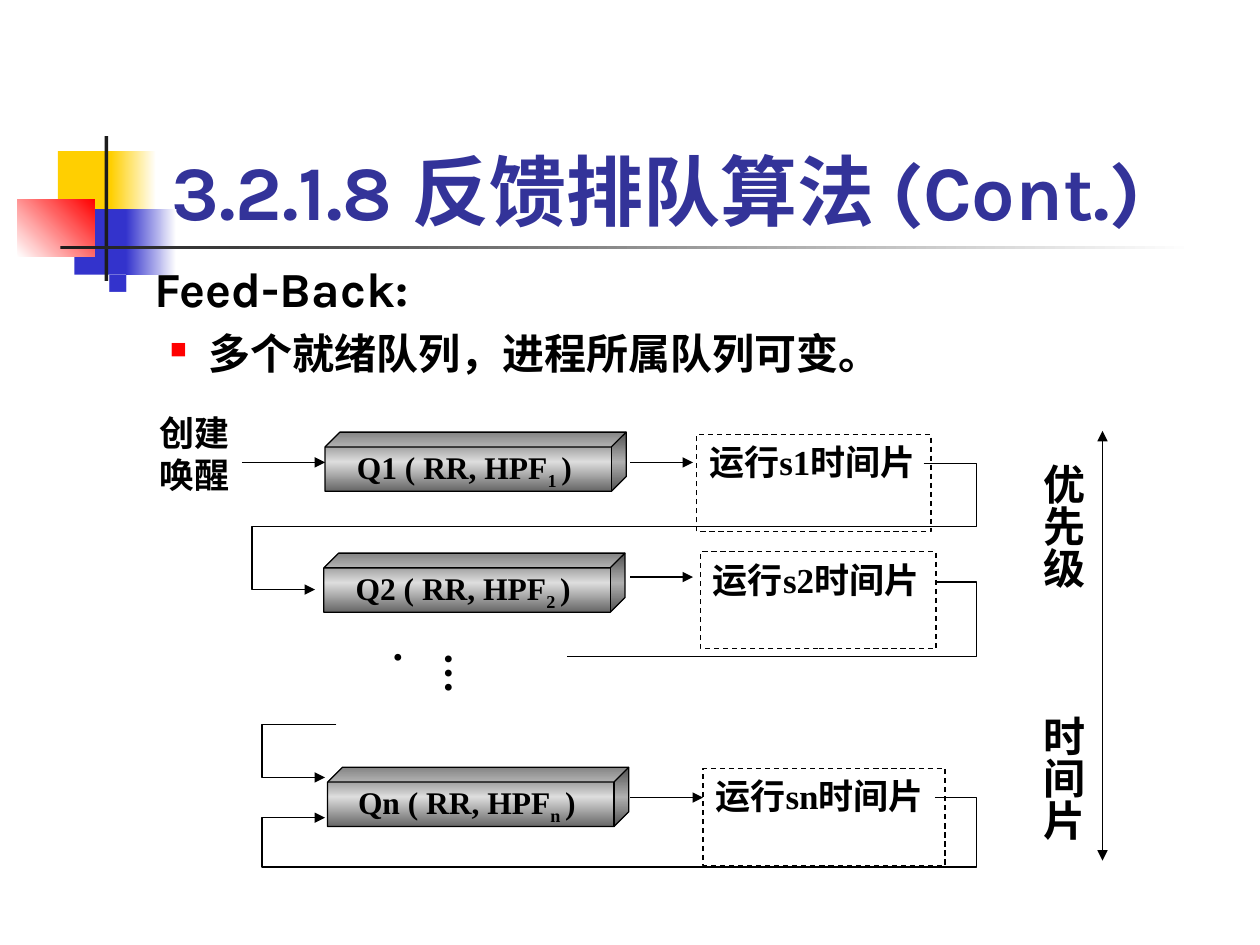
from copy import deepcopy

from lxml.etree import SubElement
from pptx import Presentation
from pptx.dml.color import RGBColor
from pptx.enum.dml import MSO_LINE
from pptx.enum.shapes import MSO_CONNECTOR, MSO_SHAPE
from pptx.enum.text import MSO_ANCHOR, MSO_AUTO_SIZE, PP_ALIGN
from pptx.oxml.ns import qn
from pptx.util import Inches, Pt

BLACK = RGBColor(0x00, 0x00, 0x00)
WHITE = RGBColor(0xFF, 0xFF, 0xFF)
YELLOW = RGBColor(0xFF, 0xCF, 0x01)
BLUE = RGBColor(0x33, 0x33, 0xCC)
RED = RGBColor(0xFF, 0x00, 0x00)
CHARCOAL = RGBColor(0x1C, 0x1C, 0x1C)
TITLE_BLUE = RGBColor(0x33, 0x33, 0x99)
DARK_GREY = RGBColor(0x66, 0x66, 0x66)
LIGHT_GREY = RGBColor(0xDD, 0xDD, 0xDD)
HEADING_FONT = "Karla"
DIAGRAM_FONT = "Times New Roman"


def fill_shape(shape, colors, angle=0):
    if len(colors) == 1:
        shape.fill.solid()
        shape.fill.fore_color.rgb = colors[0]
        return
    shape.fill.gradient()
    shape.fill.gradient_angle = angle
    stop_list = next(shape._element.spPr.iter(qn("a:gsLst")))
    while len(stop_list) < len(colors):
        stop_list.append(deepcopy(stop_list[-1]))
    for index, (stop, color) in enumerate(zip(shape.fill.gradient_stops, colors)):
        stop.position = index / (len(colors) - 1)
        stop.color.rgb = color


def style_line(shape, arrowheads=()):
    shape.line.color.rgb = BLACK
    shape.line.width = Pt(0.75)
    line_element = shape.line._get_or_add_ln()
    for end in arrowheads:
        SubElement(line_element, qn(f"a:{end}"), type="triangle")
    SubElement(shape._element.spPr, qn("a:effectLst"))


presentation = Presentation()
presentation.slide_width = Inches(10)
presentation.slide_height = Inches(7.5)
slide = presentation.slides.add_slide(presentation.slide_layouts[5])
shapes = slide.shapes
styled_texts = []

decorations = [
    (0.46, 1.2, 0.48, 0.52, [YELLOW], 0),
    (0.88, 1.2, 0.36, 0.52, [YELLOW, WHITE], 0),
    (0.59, 1.66, 0.46, 0.52, [BLUE], 0),
    (1, 1.66, 0.4, 0.52, [BLUE, WHITE], 0),
    (0.14, 1.58, 0.61, 0.46, [WHITE, RED], 45),
    (0.83, 1.08, 0.03, 1.15, [CHARCOAL], 0),
    (0.48, 1.95, 9, 0.03, [CHARCOAL, WHITE], 0),
]
for left, top, width, height, colors, angle in decorations:
    decoration = shapes.add_shape(
        MSO_SHAPE.RECTANGLE, Inches(left), Inches(top), Inches(width), Inches(height))
    fill_shape(decoration, colors, angle)
    decoration.line.fill.background()
    decoration.shadow.inherit = False

title = shapes.title
title.left, title.top = Inches(1.26), Inches(0.67)
title.width, title.height = Inches(8.52), Inches(1.25)
title.text_frame.text = "3.2.1.8 反馈排队算法 (Cont.)"
title.text_frame.auto_size = MSO_AUTO_SIZE.NONE
title.text_frame.vertical_anchor = MSO_ANCHOR.BOTTOM
title.text_frame.paragraphs[0].alignment = PP_ALIGN.LEFT
styled_texts.append((title.text_frame.paragraphs[0], 44, HEADING_FONT, TITLE_BLUE))

body = shapes.add_textbox(Inches(0.75), Inches(2), Inches(8.5), Inches(1.3))
body.text_frame.word_wrap = True
body.text_frame.text = "Feed-Back:\n多个就绪队列，进程所属队列可变。"
bullets = [(0.38, -0.38, BLUE, 60, 28, 0), (0.81, -0.31, RED, 55, 24, 6)]
for level, (paragraph, bullet) in enumerate(zip(body.text_frame.paragraphs, bullets)):
    margin, indent, color, percent, size, space_before = bullet
    paragraph.level = level
    properties = paragraph._p.get_or_add_pPr()
    properties.set("marL", str(Inches(margin)))
    properties.set("indent", str(Inches(indent)))
    bullet_color = SubElement(properties, qn("a:buClr"))
    SubElement(bullet_color, qn("a:srgbClr"), val=str(color))
    SubElement(properties, qn("a:buSzPct"), val=str(percent * 1000))
    SubElement(properties, qn("a:buChar"), char="■")
    paragraph.space_before = Pt(space_before)
    styled_texts.append((paragraph, size, HEADING_FONT, BLACK))

slices = [("1", 5.53, 3.45, 1.86), ("2", 5.56, 4.38, 1.87), ("n", 5.58, 6.1, 1.92)]
for name, left, top, width in slices:
    run_box = shapes.add_shape(
        MSO_SHAPE.RECTANGLE, Inches(left), Inches(top), Inches(width), Inches(0.77))
    run_box.fill.background()
    style_line(run_box)
    run_box.line.dash_style = MSO_LINE.DASH
    run_box.text_frame.text = f"运行s{name}时间片"
    run_box.text_frame.word_wrap = True
    run_box.text_frame.auto_size = MSO_AUTO_SIZE.SHAPE_TO_FIT_TEXT
    run_box.text_frame.vertical_anchor = MSO_ANCHOR.TOP
    run_box.text_frame.paragraphs[0].alignment = PP_ALIGN.LEFT
    styled_texts.append((run_box.text_frame.paragraphs[0], 20, DIAGRAM_FONT, BLACK))

labels = [
    ("创建唤醒", 1.17, 3.22, 0.83, 0.77, 20, False),
    ("….", 3.32, 5.08, 0.6, 0.58, 24, True),
    ("优先级\t时间片", 8.09, 3.58, 0.6, 3.25, 24, True),
]
for text, left, top, width, height, size, vertical in labels:
    label = shapes.add_textbox(Inches(left), Inches(top), Inches(width), Inches(height))
    frame = label.text_frame
    frame.word_wrap = True
    frame.text = text
    paragraph = frame.paragraphs[0]
    if vertical:
        frame._txBody.bodyPr.set("vert", "eaVert")
        frame.margin_left = frame.margin_right = Inches(0.05)
        frame.margin_top = frame.margin_bottom = Inches(0.1)
    if "\t" in text:
        tab_list = SubElement(paragraph._p.get_or_add_pPr(), qn("a:tabLst"))
        SubElement(tab_list, qn("a:tab"), pos=str(Inches(2)), algn="l")
    styled_texts.append((paragraph, size, DIAGRAM_FONT, BLACK))

arrows = [
    (1.92, 3.67, 2.58, 3.67, ["tailEnd"]),
    (5, 3.67, 5.5, 3.67, ["tailEnd"]),
    (5, 4.58, 5.5, 4.58, ["tailEnd"]),
    (5, 6.33, 5.58, 6.33, ["tailEnd"]),
    (8.75, 3.42, 8.75, 6.83, ["headEnd", "tailEnd"]),
]
for start_x, start_y, end_x, end_y, arrowheads in arrows:
    arrow = shapes.add_connector(
        MSO_CONNECTOR.STRAIGHT, Inches(start_x), Inches(start_y), Inches(end_x), Inches(end_y))
    style_line(arrow, arrowheads)

feedback_routes = [
    ([(7.33, 3.68), (7.75, 3.68), (7.75, 4.18), (2, 4.18), (2, 4.68), (2.5, 4.68)], ["tailEnd"]),
    ([(2.67, 5.75), (2.08, 5.75), (2.08, 6.17), (2.58, 6.17)], ["tailEnd"]),
    ([(7.42, 4.62), (7.75, 4.62), (7.75, 5.21), (4.5, 5.21)], []),
    ([(7.42, 6.33), (7.75, 6.33), (7.75, 6.88), (2.08, 6.88), (2.08, 6.49), (2.58, 6.49)],
     ["tailEnd"]),
]
for points, arrowheads in feedback_routes:
    start, *corners = [(Inches(x), Inches(y)) for x, y in points]
    builder = shapes.build_freeform(*start)
    builder.add_line_segments(corners, close=False)
    route = builder.convert_to_shape()
    route.fill.background()
    style_line(route, arrowheads)

for name, left, top in [("1", 2.58, 3.43), ("2", 2.57, 4.39), ("n", 2.6, 6.09)]:
    queue = shapes.add_shape(
        MSO_SHAPE.CUBE, Inches(left), Inches(top), Inches(2.39), Inches(0.47))
    queue.adjustments[0] = 0.25
    fill_shape(queue, [DARK_GREY, LIGHT_GREY, DARK_GREY], 90)
    style_line(queue)
    queue.text_frame.word_wrap = False
    queue.text_frame.vertical_anchor = MSO_ANCHOR.MIDDLE
    paragraph = queue.text_frame.paragraphs[0]
    paragraph.alignment = PP_ALIGN.CENTER
    for text, baseline in [(f"Q{name} ( RR, HPF", 0), (f"{name} ", -25000), (") ", 0)]:
        run = paragraph.add_run()
        run.text = text
        if baseline:
            run._r.get_or_add_rPr().set("baseline", str(baseline))
    styled_texts.append((paragraph, 18, DIAGRAM_FONT, BLACK))

for paragraph, size, font_name, color in styled_texts:
    for run in paragraph.runs:
        run.font.size = Pt(size)
        run.font.name = font_name
        run.font.bold = True
        run.font.color.rgb = color

presentation.save("out.pptx")
